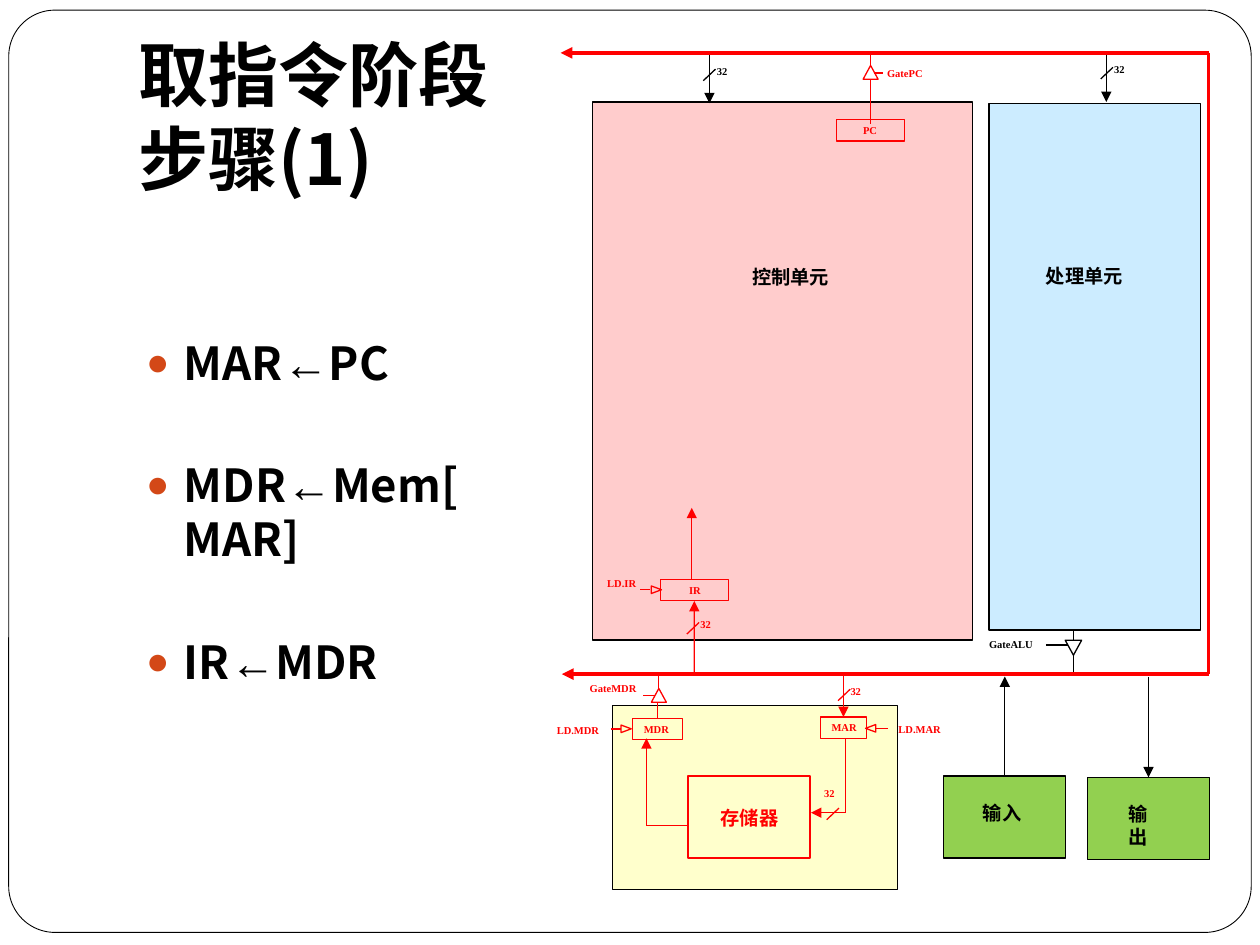
from lxml.etree import SubElement
from pptx import Presentation
from pptx.dml.color import RGBColor
from pptx.enum.shapes import MSO_CONNECTOR, MSO_SHAPE as Shape
from pptx.enum.text import MSO_ANCHOR as Anchor, PP_ALIGN as Align
from pptx.oxml.ns import qn
from pptx.util import Pt

COLORS = {"black": "000000", "red": "FF0000", "white": "FFFFFF", "bullet": "D34817",
          "control": "FFCCCC", "processing": "CCECFF", "memory": "FFFFCC", "io": "92D050"}
CJK_FONT, LABEL_FONT = "Noto Sans CJK SC", "Times New Roman"
TOP, LEFT, BOTTOM = 0, 1, 2  # connection sites
BUS_TOP, BUS_BOTTOM = 30.2, 385.2


def rgb(name):
    return RGBColor.from_string(COLORS[name])


def format_run(run, size, color, latin, east_asian=CJK_FONT):
    run.font.size, run.font.bold = Pt(size), True
    run.font.color.rgb = rgb(color)
    run.font.name = latin
    SubElement(run.font._element, qn("a:ea"), typeface=east_asian)


class Region:
    """Draws parts at offsets from the region's top left corner."""

    def __init__(self, slide, left, top):
        self.shapes, self.left, self.top = slide.shapes, left, top

    def shape(self, kind, x, y, width, height, fill=None, line="black", weight=0.75):
        shape = self.shapes.add_shape(kind, Pt(self.left + x), Pt(self.top + y),
                                      Pt(width), Pt(height))
        shape.shadow.inherit = False
        if fill:
            shape.fill.solid()
            shape.fill.fore_color.rgb = rgb(fill)
        else:
            shape.fill.background()
        shape.line.color.rgb = rgb(line)
        shape.line.width = Pt(weight)
        return shape

    def line(self, x1, y1, x2, y2, color="red", arrow=False, weight=0.75,
             begin=None, end=None):
        connector = self.shapes.add_connector(
            MSO_CONNECTOR.STRAIGHT, Pt(self.left + x1), Pt(self.top + y1),
            Pt(self.left + x2), Pt(self.top + y2))
        connector.line.color.rgb = rgb(color)
        connector.line.width = Pt(weight)
        if arrow:
            SubElement(connector.line._get_or_add_ln(), qn("a:tailEnd"), type="triangle")
        SubElement(connector._element.spPr, qn("a:effectLst"))
        if begin:
            connector.begin_connect(*begin)
        if end:
            connector.end_connect(*end)

    def label(self, text, x, y, width, color="red", size=6, height=12.2):
        box = self.shapes.add_textbox(Pt(self.left + x), Pt(self.top + y),
                                      Pt(width), Pt(height))
        frame = box.text_frame
        frame.margin_left = frame.margin_right = frame.margin_top = frame.margin_bottom = 0
        frame.word_wrap = True
        frame.text = text
        paragraph = frame.paragraphs[0]
        if size > 6:
            paragraph.line_spacing = Pt(13)
        format_run(paragraph.runs[0], size, color, LABEL_FONT)

    def width_mark(self, x, y, color="red", dx=4.2, dy=-5.8):
        """Slash across a line, with its number of bits."""
        self.line(x + 3.5, y - 3.3, x - 3.5, y + 3.3, color)
        self.label("32", x + dx, y + dy, 8.6, color)

    def register(self, name, x, y, width, text_x):
        box = self.shape(Shape.RECTANGLE, x, y, width, 12.2, line="red")
        self.label(name, x + text_x, y + 2.5, 21.6)
        return box

    def load_signal(self, name, x, y, rotation, stub, text):
        """Small triangle pointing at a register; stub holds two x values."""
        triangle = self.shape(Shape.FLOWCHART_EXTRACT, x - 2.15, y - 2.9, 4.3, 5.8, line="red")
        triangle.rotation = rotation
        self.line(stub[0], y, stub[1], y)
        self.label(name, *text)


def build_frame(slide):
    frame = Region(slide, 5, 5.8).shape(Shape.ROUNDED_RECTANGLE, 0, 0, 710, 527,
                                        fill="white", weight=0.5)
    frame.adjustments[0] = 0.05
    frame._element.getparent().insert(2, frame._element)  # send to back


def build_title(title, left, top, width, height):
    title.left, title.top, title.width, title.height = map(Pt, (left, top, width, height))
    frame = title.text_frame
    frame.text = "取指令阶段步骤(1)"
    frame.vertical_anchor = Anchor.MIDDLE
    paragraph = frame.paragraphs[0]
    paragraph.alignment = Align.LEFT
    paragraph.line_spacing = Pt(48)
    format_run(paragraph.runs[0], 40, "black", CJK_FONT)


def build_steps(body, left, top, width, height):
    body.left, body.top, body.width, body.height = map(Pt, (left, top, width, height))
    frame = body.text_frame
    for index, (target, source) in enumerate(
            [("MAR", "PC"), ("MDR", "Mem[MAR]"), ("IR", "MDR")]):
        paragraph = frame.add_paragraph() if index else frame.paragraphs[0]
        paragraph.line_spacing = Pt(31)
        paragraph.space_before = Pt(39 if index else 0)
        properties = paragraph._p.get_or_add_pPr()
        properties.set("marL", str(Pt(21.6)))
        properties.set("indent", str(Pt(-21.6)))
        bullet_color = SubElement(properties, qn("a:buClr"))
        SubElement(bullet_color, qn("a:srgbClr"), val=COLORS["bullet"])
        SubElement(properties, qn("a:buSzPct"), val="85000")
        SubElement(properties, qn("a:buChar"), char="●")
        for text, font in ((target, CJK_FONT), ("←", "Arial"), (source, CJK_FONT)):
            run = paragraph.add_run()
            run.text = text
            format_run(run, 26, "black", font, font)


def build_bus(slide, left, top, width, height):
    bus = Region(slide, left, top)
    bus.line(width, 0, 0, 0, arrow=True, weight=2.25)
    bus.line(width, 0, width, height, weight=2.25)
    bus.line(width, height, 0.7, height, arrow=True, weight=2.25)


def build_control_unit(slide, left, top, width, height):
    unit = Region(slide, left, top)
    bus_top, bus_bottom = BUS_TOP - top, BUS_BOTTOM - top
    unit.shape(Shape.RECTANGLE, 0, 0, width, height, "control")
    unit.label("控制单元", 91.3, 93.6, 60.5, "black", 11, 28)
    # Input from the bus
    unit.line(66.9, bus_top + 1.5, 66.9, 0.7, "black", arrow=True)
    unit.width_mark(66.9, -15.5, "black")
    # PC and its gate
    unit.register("PC", 139.6, 10.1, 38.9, 15.1)
    unit.line(159, -12.9, 159, 12.3)
    unit.shape(Shape.FLOWCHART_EXTRACT, 154.7, -20.9, 8.6, 7.9, line="red")
    unit.line(159, bus_top + 1.5, 159, -20.9)
    unit.line(161.2, -16.5, 166.2, -16.5)
    unit.label("GatePC", 168.4, -20.1, 33)
    # IR
    register = unit.register("IR", 38.8, 272.9, 38.9, 16.5)
    unit.load_signal("LD.IR", 36.6, 278.7, 90, (27.3, 33), (8.5, 271.5, 20.9))
    unit.line(56.8, 273, 56.8, 231.9, arrow=True)
    unit.line(58.2, bus_bottom, 58.2, 285.1, arrow=True, end=(register, BOTTOM))
    unit.width_mark(57.5, 300.7)


def build_processing_unit(slide, left, top, width, height):
    unit = Region(slide, left, top)
    unit.shape(Shape.RECTANGLE, 0, 0, width, height, "processing")
    unit.label("处理单元", 32.4, 92.2, 58.3, "black", 11, 28)
    # Input from the bus
    unit.line(67, BUS_TOP + 0.8 - top, 67, -0.7, "black", arrow=True)
    unit.width_mark(67.3, -17.2, "black")
    # ALU gate
    unit.line(48.2, height, 48.2, 306.8, "black")
    unit.shape(Shape.FLOWCHART_MERGE, 43.5, 306.8, 9.4, 8.6)
    unit.line(48.2, 315, 48.2, BUS_BOTTOM - top, "black")
    unit.line(32.4, 309.6, 45, 309.6, "black")
    unit.label("GateALU", 0, 305.3, 33, "black")


def build_memory(slide, left, top, width, height):
    memory = Region(slide, left, top)
    bus = BUS_BOTTOM - top
    memory.shape(Shape.RECTANGLE, 0, 0, width, height, "memory", weight=0.25)
    # MDR and its gate
    mdr = memory.register("MDR", 11.5, 7.2, 28.8, 6.5)
    memory.line(25.9, 7.2, 25.9, -1.6, begin=(mdr, TOP))
    memory.shape(Shape.FLOWCHART_EXTRACT, 22.3, -9.8, 8.6, 7.9, line="red")
    memory.line(26.5, bus, 26.5, -9.6)
    memory.line(24.5, -5.8, 17.3, -5.8)
    memory.label("GateMDR", -12.9, -13.7, 33.8)
    memory.load_signal("LD.MDR", 7.9, 13.3, 90, (5.1, -0.7), (-31.7, 10.8, 31.7))
    # MAR
    mar = memory.register("MAR", 118.8, 6.5, 26.6, 6.5)
    memory.line(132.1, bus + 0.7, 132.1, 6.5, arrow=True, end=(mar, TOP))
    memory.width_mark(132.5, -6.1, dx=3.6)
    memory.load_signal("LD.MAR", 147.6, 13, 270, (150.5, 157.7), (163.5, 10.1, 28))
    # Storage with its data and address lines
    memory.shape(Shape.RECTANGLE, 43.2, 40.3, 69.8, 46.8, line="red")
    memory.label("存储器", 61.9, 57.6, 38.9, size=11)
    memory.line(43.2, 68.4, 19.5, 68.4)
    memory.line(19.5, 68.4, 19.5, 18.7, arrow=True)
    memory.line(133.2, 18.7, 133.2, 61.2)
    memory.line(133.2, 61.2, 113.5, 61.2, arrow=True)
    memory.width_mark(126, 61.9, dx=-5, dy=-15.1)


def build_device(slide, left, top, width, height, name, text_x, text_width, to_bus):
    device = Region(slide, left, top)
    box = device.shape(Shape.RECTANGLE, 0, 0, width, height, "io")
    device.label(name, text_x, 14.4, text_width, "black", 11)
    middle, bus = width / 2, BUS_BOTTOM + 1.4 - top
    if to_bus:
        device.line(middle, 0, middle, bus, "black", arrow=True, begin=(box, TOP))
    else:
        device.line(middle, bus, middle, 0, "black", arrow=True, end=(box, TOP))


def main():
    presentation = Presentation()
    presentation.slide_width, presentation.slide_height = Pt(720), Pt(540)
    slide = presentation.slides.add_slide(presentation.slide_layouts[1])
    build_frame(slide)
    build_title(slide.shapes.title, 72, 21.6, 231, 89.3)
    build_steps(slide.placeholders[1], 76.3, 187.8, 209.5, 309)
    build_memory(slide, 349.9, 403.2, 162.7, 105.1)
    build_processing_unit(slide, 565.2, 59, 121, 301)
    build_control_unit(slide, 338.5, 58.3, 217.4, 307.4)
    build_device(slide, 539.3, 443.5, 69.8, 46.8, "输入", 22.3, 28.8, True)
    build_device(slide, 621.4, 444.2, 69.8, 46.8, "输出", 23.7, 21.6, False)
    build_bus(slide, 320.4, BUS_TOP, 370.2, BUS_BOTTOM - BUS_TOP)
    presentation.save("out.pptx")


if __name__ == "__main__":
    main()
